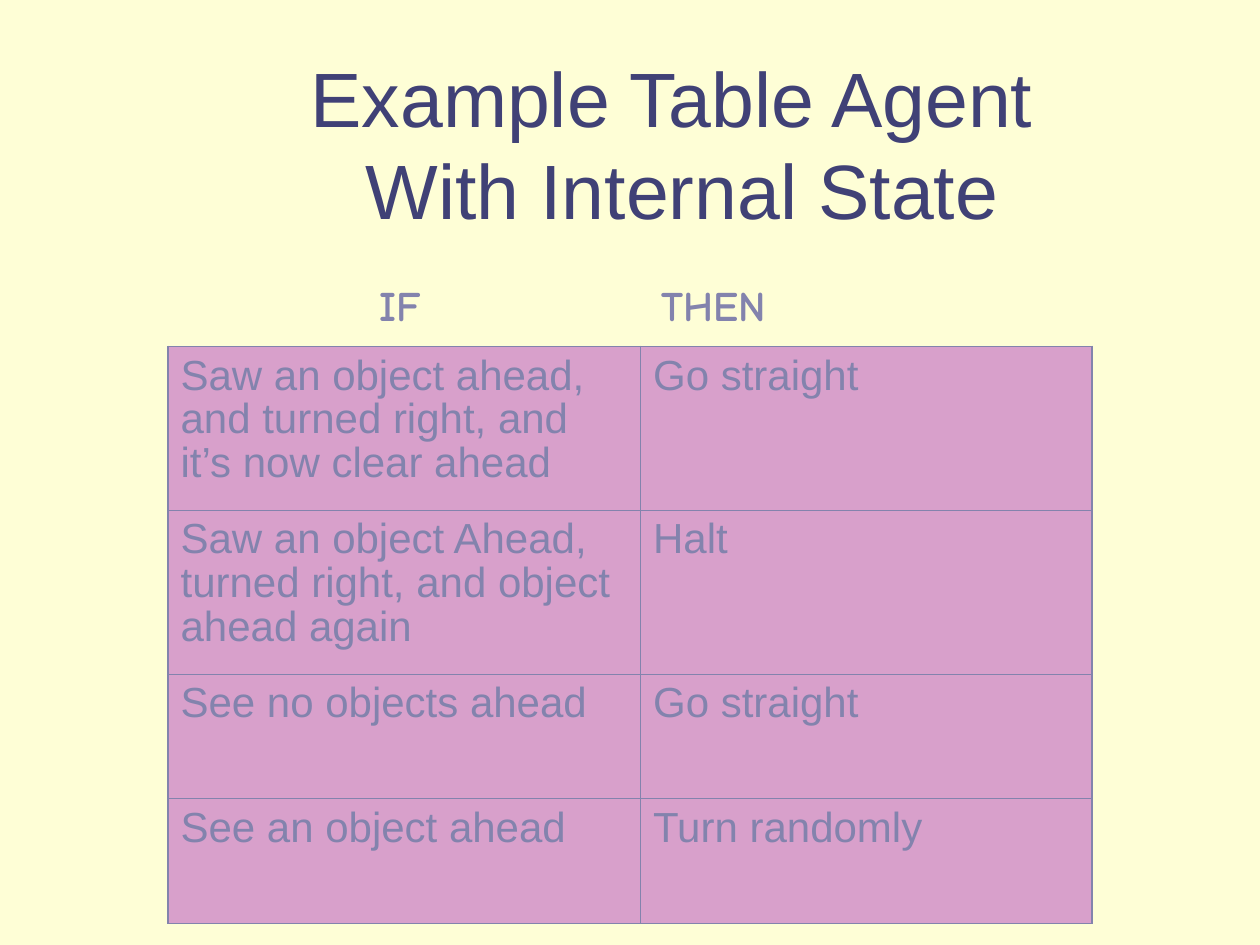
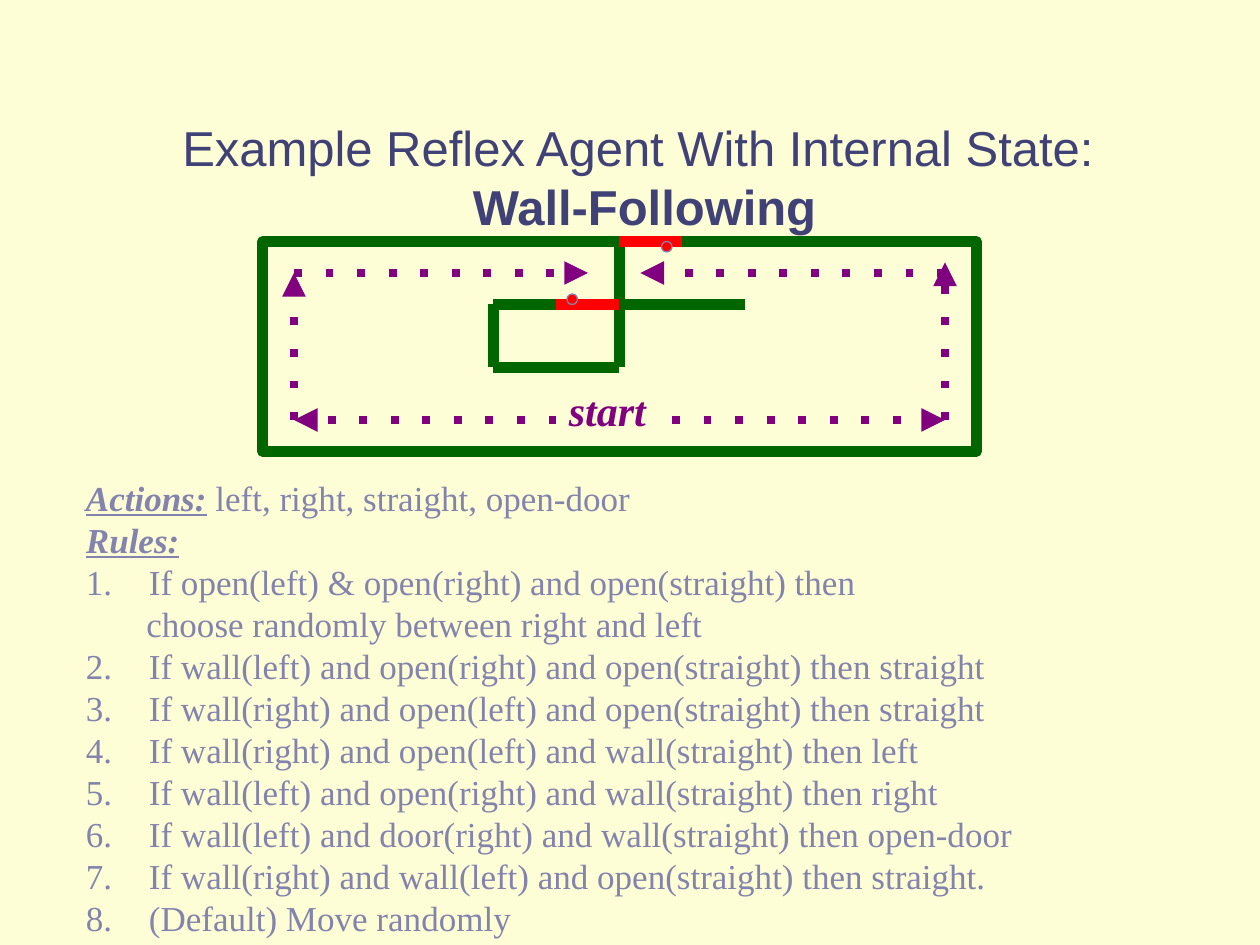
import lxml.etree
import pptx
import pptx.dml.color
import pptx.enum.shapes
import pptx.enum.text
import pptx.oxml.ns
import pptx.util

CREAM, NAVY, LAVENDER, PINK = "FEFED6", "404176", "8383AD", "D8A0CB"
GREEN, RED, PURPLE = "006600", "FF0000", "800080"
LINE_PITCH = 1.2  # line height as a share of the text size

presentation = pptx.Presentation()
presentation.slide_width = pptx.util.Inches(10)
presentation.slide_height = pptx.util.Inches(7.5)
UNIT = presentation.slide_width // 120  # both slides sit on a grid of 120 columns and 90 rows
qn = pptx.oxml.ns.qn


def colour(hex_string):
    return pptx.dml.color.RGBColor.from_string(hex_string)


def add_run(paragraph, text, hex_string, **font_values):
    run = paragraph.add_run()
    run.text = text
    run.font.color.rgb = colour(hex_string)
    for name, value in font_values.items():
        setattr(run.font, name, value)


background = presentation.slide_master.background.fill
background.solid()
background.fore_color.rgb = colour(CREAM)

# Titles: place on the grid, text size, lines with their weight
titles = [
    ((14, 5, 102, 18), 44, [("Example Table Agent ", False), ("With Internal State", False)]),
    ((8, 8, 106.8, 15), 28, [("Example Reflex Agent With Internal State: ", False),
                             ("Wall-Following", True)]),
]
slides = []
for place, size, lines in titles:
    slide = presentation.slides.add_slide(presentation.slide_layouts[5])
    slides.append(slide)
    title = slide.shapes.title
    title.left, title.top, title.width, title.height = [int(UNIT * value) for value in place]
    title.fill.solid()
    title.fill.fore_color.rgb = colour(CREAM)
    title.text_frame.auto_size = pptx.enum.text.MSO_AUTO_SIZE.NONE
    title.text_frame.vertical_anchor = pptx.enum.text.MSO_ANCHOR.BOTTOM
    paragraph = title.text_frame.paragraphs[0]
    paragraph.alignment = pptx.enum.text.PP_ALIGN.CENTER
    paragraph.line_spacing = pptx.util.Pt(size * LINE_PITCH)
    for index, (text, bold) in enumerate(lines):
        if index:
            paragraph.add_line_break()
        add_run(paragraph, text, NAVY, name="Arial", size=pptx.util.Pt(size), bold=bold)
table_slide, maze_slide = slides

# Condition and action table
rules_table = [
    ("Saw an object ahead, and turned right, and it’s now clear ahead", "Go straight"),
    ("Saw an object Ahead, turned right, and object ahead again", "Halt"),
    ("See no objects ahead", "Go straight"),
    ("See an object ahead", "Turn randomly"),
]
column_widths, row_heights = [45, 43], [15.6, 15.6, 11.88, 11.88]
frame = table_slide.shapes.add_table(
    4, 2, UNIT * 16, UNIT * 33, UNIT * sum(column_widths), int(UNIT * sum(row_heights)))
table = frame.table
for flag in ("first_row", "horz_banding"):
    setattr(table, flag, False)
for column, width in zip(table.columns, column_widths):
    column.width = UNIT * width
for row, height in zip(table.rows, row_heights):
    row.height = int(UNIT * height)
for row_index, row_texts in enumerate(rules_table):
    for column_index, text in enumerate(row_texts):
        cell = table.cell(row_index, column_index)
        cell.margin_top = pptx.util.Inches(0.07)
        paragraph = cell.text_frame.paragraphs[0]
        paragraph.line_spacing = 0.93
        add_run(paragraph, text, LAVENDER, name="Arial", size=pptx.util.Pt(24))
        outer_edges = {"lnL": column_index == 0, "lnR": column_index == 1,
                       "lnT": row_index == 0, "lnB": row_index == 3}
        properties = cell._tc.get_or_add_tcPr()
        for edge, is_outer in outer_edges.items():
            border = lxml.etree.SubElement(properties, qn(f"a:{edge}"))
            border.set("w", str(pptx.util.Pt(1.08 if is_outer else 0.75)))
            border_fill = lxml.etree.SubElement(border, qn("a:solidFill"))
            lxml.etree.SubElement(border_fill, qn("a:srgbClr")).set("val", LAVENDER)
        cell.fill.solid()
        cell.fill.fore_color.rgb = colour(PINK)

# Actions and numbered rules
rules_box = maze_slide.shapes.add_textbox(
    UNIT * 7, int(UNIT * 44.76), UNIT * 110, int(UNIT * 45.24))
rules_box.text_frame.word_wrap = True
heading = {"bold": True, "italic": True, "underline": True}
# Each line: number to start from (None for no number), left margin, runs
rule_lines = [
    (None, 0, [("Actions:", heading), (" left, right, straight, open-door", {})]),
    (None, 0, [("Rules:", heading)]),
    (1, 0.5, [("If open(left) & open(right) and open(straight) then", {})]),
    (None, 0.48, [("choose randomly between right and left", {})]),
]
rule_lines += [(2, 0.5, [(text, {})]) for text in (
    "If wall(left) and open(right) and open(straight) then straight",
    "If wall(right) and open(left) and open(straight) then straight",
    "If wall(right) and open(left) and wall(straight) then left",
    "If wall(left) and open(right) and wall(straight) then right",
    "If wall(left) and door(right) and wall(straight) then open-door",
    "If wall(right) and wall(left) and open(straight) then straight.",
    "(Default) Move randomly",
)]
for index, (start, margin, runs) in enumerate(rule_lines):
    frame = rules_box.text_frame
    paragraph = frame.add_paragraph() if index else frame.paragraphs[0]
    properties = paragraph._p.get_or_add_pPr()
    properties.set("marL", str(pptx.util.Inches(margin)))
    if start:
        properties.set("indent", str(-pptx.util.Inches(margin)))
        numbering = lxml.etree.SubElement(properties, qn("a:buAutoNum"))
        numbering.set("type", "arabicPeriod")
        numbering.set("startAt", str(start))
    paragraph.line_spacing = pptx.util.Pt(20 * LINE_PITCH)
    for text, emphasis in runs:
        add_run(paragraph, text, LAVENDER, name="Times New Roman",
                size=pptx.util.Pt(20), **emphasis)

# Outer wall of the maze
room = maze_slide.shapes.add_shape(
    pptx.enum.shapes.MSO_SHAPE.RECTANGLE, UNIT * 25, UNIT * 23, UNIT * 68, UNIT * 20)
room.shadow.inherit = False
room.fill.background()
room.line.color.rgb = colour(GREEN)
room.line.width = pptx.util.Pt(6)

# Column headings and the start mark
labels = [
    (table_slide, "IF", (35, 26, 7.2, 6), LAVENDER, "Comic Neue", False),
    (table_slide, "THEN", (61.8, 26, 14.52, 6), LAVENDER, "Comic Neue", False),
    (maze_slide, "start", (53, 36, 11.28, 6), PURPLE, "Times New Roman", True),
]
for slide, text, place, hex_string, font_name, italic in labels:
    label = slide.shapes.add_textbox(*[int(UNIT * value) for value in place])
    label.text_frame.word_wrap = True
    paragraph = label.text_frame.paragraphs[0]
    paragraph.line_spacing = pptx.util.Pt(24 * LINE_PITCH)
    add_run(paragraph, text, hex_string, name=font_name, size=pptx.util.Pt(24),
            bold=True, italic=italic)

# Maze lines from grid point to grid point: inner walls, doors, walking routes
room_top_middle = (59, 23)
line_groups = [
    (GREEN, 6, False, [
        (room_top_middle, (59, 29)), ((59, 29), (71, 29)), ((47, 35), (59, 35)),
        ((47, 29), (53, 29)), ((47, 35), (47, 29)), ((59, 35), (59, 29))]),
    (RED, 6, False, [((59, 29), (53, 29)), ((65, 23), room_top_middle)]),
    (PURPLE, 4.5, True, [
        ((53, 40), (28, 40)), ((28, 40), (28, 26)), ((28, 26), (56, 26)),
        ((64, 40), (90, 40)), ((90, 40), (90, 25)), ((90, 26), (61, 26))]),
]
for hex_string, width, is_route, segments in line_groups:
    for begin, end in segments:
        connector = maze_slide.shapes.add_connector(
            pptx.enum.shapes.MSO_CONNECTOR.STRAIGHT,
            *[UNIT * value for value in begin + end])
        if begin == room_top_middle:
            connector.begin_connect(room, 0)
        if end == room_top_middle:
            connector.end_connect(room, 0)
        connector.line.color.rgb = colour(hex_string)
        connector.line.width = pptx.util.Pt(width)
        lxml.etree.SubElement(connector._element.spPr, qn("a:effectLst"))
        if is_route:
            outline = connector.line._get_or_add_ln()
            lxml.etree.SubElement(outline, qn("a:prstDash")).set("val", "dot")
            lxml.etree.SubElement(outline, qn("a:tailEnd")).set("type", "triangle")

# Door knobs
for column, row in [(63, 23), (54, 28)]:
    knob = maze_slide.shapes.add_shape(
        pptx.enum.shapes.MSO_SHAPE.OVAL, UNIT * column, UNIT * row, UNIT, UNIT)
    knob.shadow.inherit = False
    knob.fill.solid()
    knob.fill.fore_color.rgb = colour(RED)
    knob.line.color.rgb = colour(LAVENDER)
    knob.line.width = pptx.util.Pt(0.75)

presentation.save("out.pptx")
